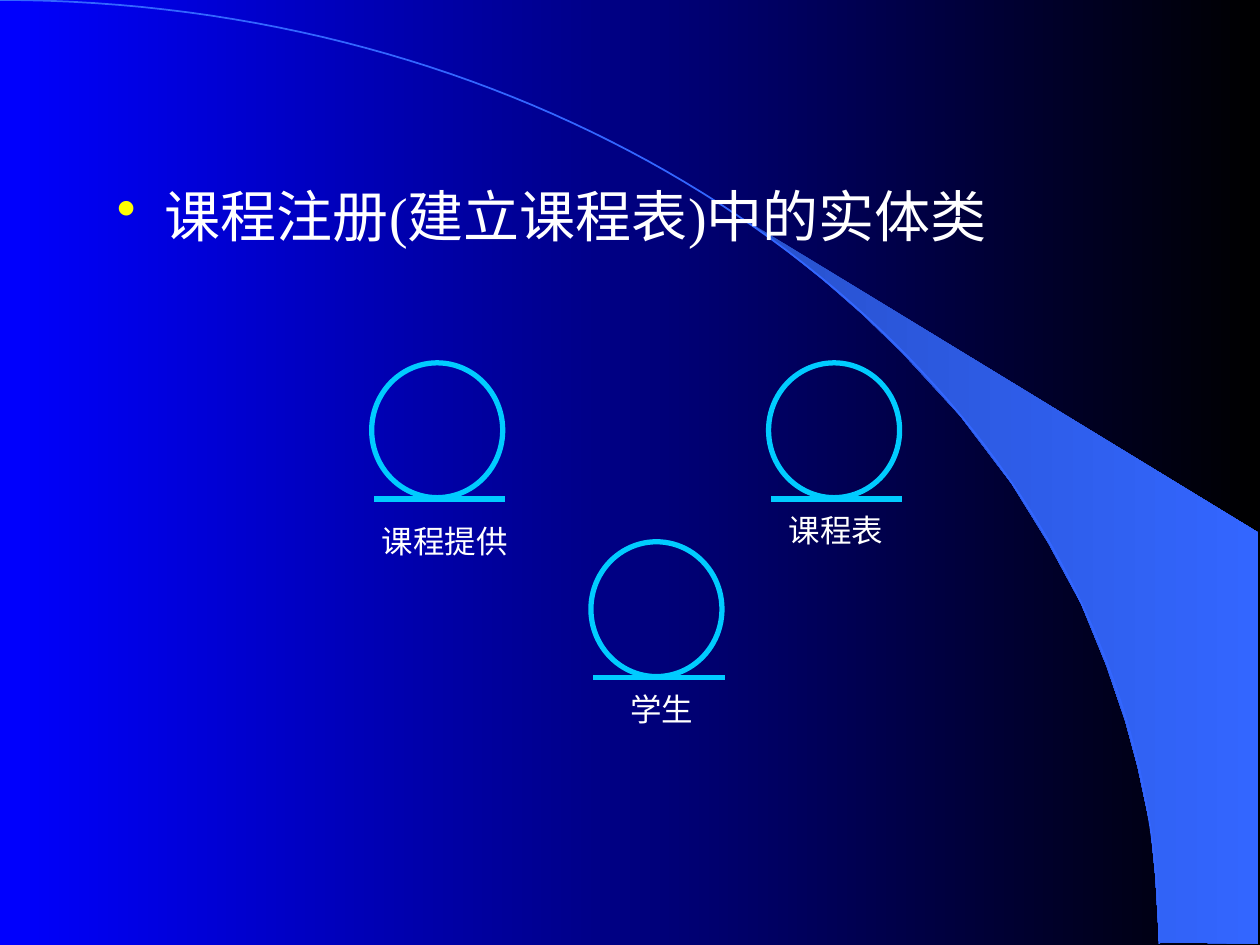
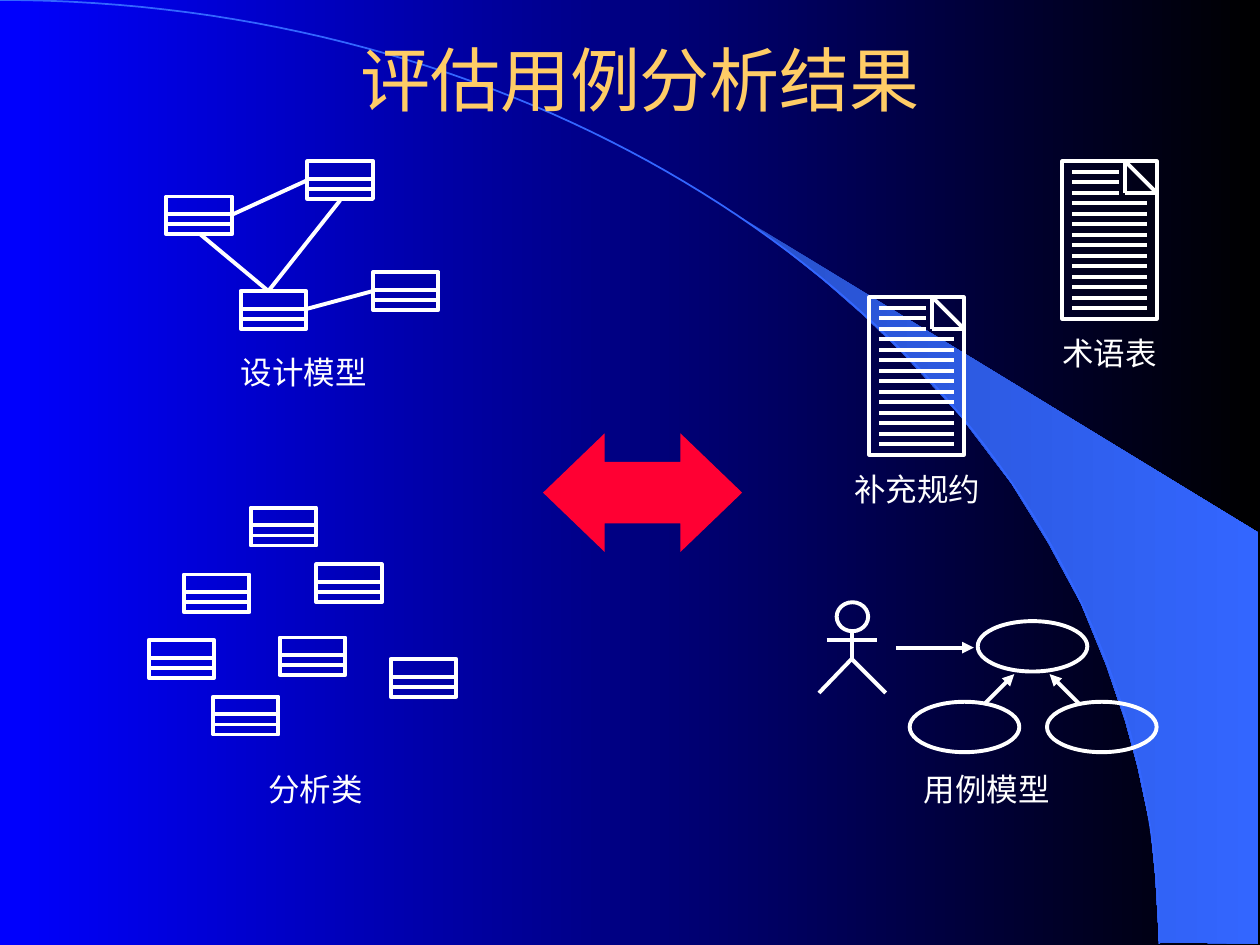
"""Build two slides on entity classes and use-case analysis results."""
from lxml import etree
from pptx import Presentation
from pptx.dml.color import RGBColor
from pptx.enum.shapes import MSO_CONNECTOR, MSO_SHAPE
from pptx.enum.text import MSO_ANCHOR, MSO_AUTO_SIZE, PP_ALIGN
from pptx.oxml.ns import qn
from pptx.util import Inches, Pt

LINE = MSO_CONNECTOR.STRAIGHT
RECT = MSO_SHAPE.RECTANGLE
OVAL = MSO_SHAPE.OVAL
ARROW = MSO_SHAPE.LEFT_RIGHT_ARROW
LEFT, CENTER = PP_ALIGN.LEFT, PP_ALIGN.CENTER
MIDDLE = MSO_ANCHOR.MIDDLE
GROW = MSO_AUTO_SIZE.SHAPE_TO_FIT_TEXT

HUES = {
    "blue": "0000FF", "black": "000000", "deep": "2851CC", "sky": "3366FF",
    "cyan": "00CCFF", "white": "FFFFFF", "gold": "FFCC66",
    "yellow": "FFFF00", "red": "FF0033",
}
RGB = {name: RGBColor.from_string(code) for name, code in HUES.items()}


def draw(page, kind, x, y, w, h, hue="white", wide=2.25):
    """Outline a shape, or run a line from (x, y) over (w, h)."""
    if kind is LINE:
        item = page.shapes.add_connector(
            LINE, Inches(x), Inches(y), Inches(x + w), Inches(y + h))
    else:
        item = page.shapes.add_shape(
            kind, Inches(x), Inches(y), Inches(w), Inches(h))
        item.shadow.inherit = False
        item.fill.background()
    item.line.color.rgb = RGB[hue]
    item.line.width = Pt(wide)
    if kind is LINE:
        etree.SubElement(item.element.spPr, qn("a:effectLst"))
    return item


def write(page, text, x, y, w, h, size=18, hue="white", face="Arial",
          align=CENTER, wrap=False, pad=True):
    """Add a one-paragraph text box."""
    box = page.shapes.add_textbox(Inches(x), Inches(y), Inches(w), Inches(h))
    frame = box.text_frame
    frame.word_wrap = wrap
    if not wrap:
        frame.auto_size = GROW
    if not pad:
        frame.margin_left = frame.margin_right = 0
        frame.margin_top = frame.margin_bottom = 0
    para = frame.paragraphs[0]
    para.text = text
    para.alignment = align
    para.font.size = Pt(size)
    para.font.name = face
    para.font.color.rgb = RGB[hue]
    return frame


prs = Presentation()
prs.slide_width, prs.slide_height = Inches(10), Inches(7.5)
blank = prs.slide_layouts[6]

wedge = [
    (9.2, 7.48), (9.99, 7.49), (9.99, 4.23), (5.89, 1.73), (6.24, 1.99),
    (6.53, 2.22), (6.85, 2.5), (7.16, 2.8), (7.62, 3.3), (8.03, 3.84),
    (8.32, 4.31), (8.58, 4.79), (8.78, 5.28), (8.93, 5.72), (9.03, 6.09),
    (9.13, 6.56), (9.17, 6.96),
]
steps = [i / 80 for i in range(81)]
curve = [
    (3 * t * (1 - t) ** 2 * 5.08 + (3 * t * t * (1 - t) + t ** 3) * 9.2,
     3 * t * t * (1 - t) * 3.35 + t ** 3 * 7.49)
    for t in steps
]

pages = [prs.slides.add_slide(blank) for _ in range(2)]
for page in pages:
    back = page.background.fill
    forms = []
    for points, close in ((wedge, True), (curve, False)):
        spots = [(Inches(x), Inches(y)) for x, y in points]
        pen = page.shapes.build_freeform(*spots[0])
        pen.add_line_segments(spots[1:], close=close)
        form = pen.convert_to_shape()
        form.shadow.inherit = False
        forms.append(form)
    band, arc = forms
    band.line.fill.background()
    arc.fill.background()
    arc.line.color.rgb = RGB["sky"]
    arc.line.width = Pt(1)
    for fill, ends in ((back, ("blue", "black")), (band.fill, ("deep", "sky"))):
        fill.gradient()
        fill.gradient_angle = 0
        for stop, hue in zip(fill.gradient_stops, ends):
            stop.color.rgb = RGB[hue]

entity, review = pages

body = write(entity, "课程注册(建立课程表)中的实体类", 0.83, 1.39, 8.76, 0.71,
             32, face="Times New Roman", align=LEFT, wrap=True)
props = body.paragraphs[0]._p.get_or_add_pPr()
props.set("marL", str(Inches(0.38)))
props.set("indent", str(-Inches(0.38)))
tint = etree.Element(qn("a:buClr"))
etree.SubElement(tint, qn("a:srgbClr"), val=HUES["yellow"])
mark = etree.Element(qn("a:buChar"), char="•")
props.insert(0, tint)
props.insert(1, mark)

for name, x, y, left, top, wide in (
        ("学生", 4.69, 4.3, 5, 5.48, 0.5),
        ("课程表", 6.1, 2.88, 6.26, 4.06, 0.75),
        ("课程提供", 2.95, 2.88, 3.03, 4.14, 1)):
    write(entity, name, left, top, wide, 0.3, align=LEFT, pad=False)
    draw(entity, OVAL, x, y, 1.04, 1.07, "cyan", 3)
    draw(entity, LINE, x + 0.02, y + 1.08, 1.04, 0, "cyan", 3)

title = write(review, "评估用例分析结果", 0.83, 0.36, 8.5, 0.52, 40, "gold",
              wrap=True)
title.vertical_anchor = MIDDLE

for x, y in ((6.9, 2.36), (8.43, 1.28)):
    draw(review, RECT, x, y, 0.75, 1.25)
    draw(review, LINE, x + 0.5, y, 0.25, 0.25)
    draw(review, LINE, x + 0.5, y, 0, 0.25)
    draw(review, LINE, x + 0.5, y + 0.25, 0.25, 0)
    for row in range(1, 15):
        wide = 0.37 if row <= 3 else 0.59
        draw(review, LINE, x + 0.08, y + row * 1.25 / 15, wide, 0)

swap = draw(review, ARROW, 4.31, 3.44, 1.58, 0.94)
swap.adjustments[0], swap.adjustments[1] = 0.52, 0.52
swap.fill.solid()
swap.fill.fore_color.rgb = RGB["red"]
swap.line.fill.background()

model = [(1.32, 1.56), (2.44, 1.28), (1.91, 2.31), (2.96, 2.16)]
found = [(1.46, 4.56), (2.51, 4.48), (1.99, 4.03), (3.1, 5.23),
         (1.18, 5.08), (1.69, 5.53), (2.22, 5.06)]
for x, y in model + found:
    draw(review, RECT, x, y, 0.52, 0.3)
    for drop in (0.14, 0.22):
        draw(review, LINE, x, y + drop, 0.52, 0)

for x, y, w, h in ((2.13, 2.31, -0.54, -0.45), (1.85, 1.7, 0.59, -0.27),
                   (2.44, 2.45, 0.52, -0.14), (2.13, 2.31, 0.57, -0.72),
                   (6.76, 5.02, 0, 0.21), (6.56, 5.08, 0.4, 0)):
    draw(review, LINE, x, y, w, h)

draw(review, OVAL, 6.64, 4.78, 0.25, 0.23)
pen = review.shapes.build_freeform(Inches(6.5), Inches(5.5))
pen.add_line_segments([(Inches(6.76), Inches(5.23)),
                       (Inches(7.03), Inches(5.5))], close=False)
legs = pen.convert_to_shape()
legs.shadow.inherit = False
legs.fill.background()
legs.line.color.rgb = RGB["white"]
legs.line.width = Pt(2.25)

for x, y in ((7.76, 4.93), (7.22, 5.57), (8.31, 5.57)):
    draw(review, OVAL, x, y, 0.87, 0.4)
for x, y, w, h in ((7.11, 5.14, 0.62, 0), (7.81, 5.59, 0.24, -0.24),
                   (8.57, 5.59, -0.24, -0.24)):
    link = draw(review, LINE, x, y, w, h)
    etree.SubElement(link.element.spPr.find(qn("a:ln")), qn("a:tailEnd"),
                     type="triangle")

for name, x, y, wide in (
        ("补充规约", 6.68, 3.68, 1.2), ("术语表", 8.33, 2.6, 0.95),
        ("设计模型", 1.81, 2.75, 1.2), ("分析类", 2.03, 6.06, 0.95),
        ("用例模型", 7.23, 6.06, 1.2)):
    write(review, name, x, y, wide, 0.4)

prs.save("out.pptx")
